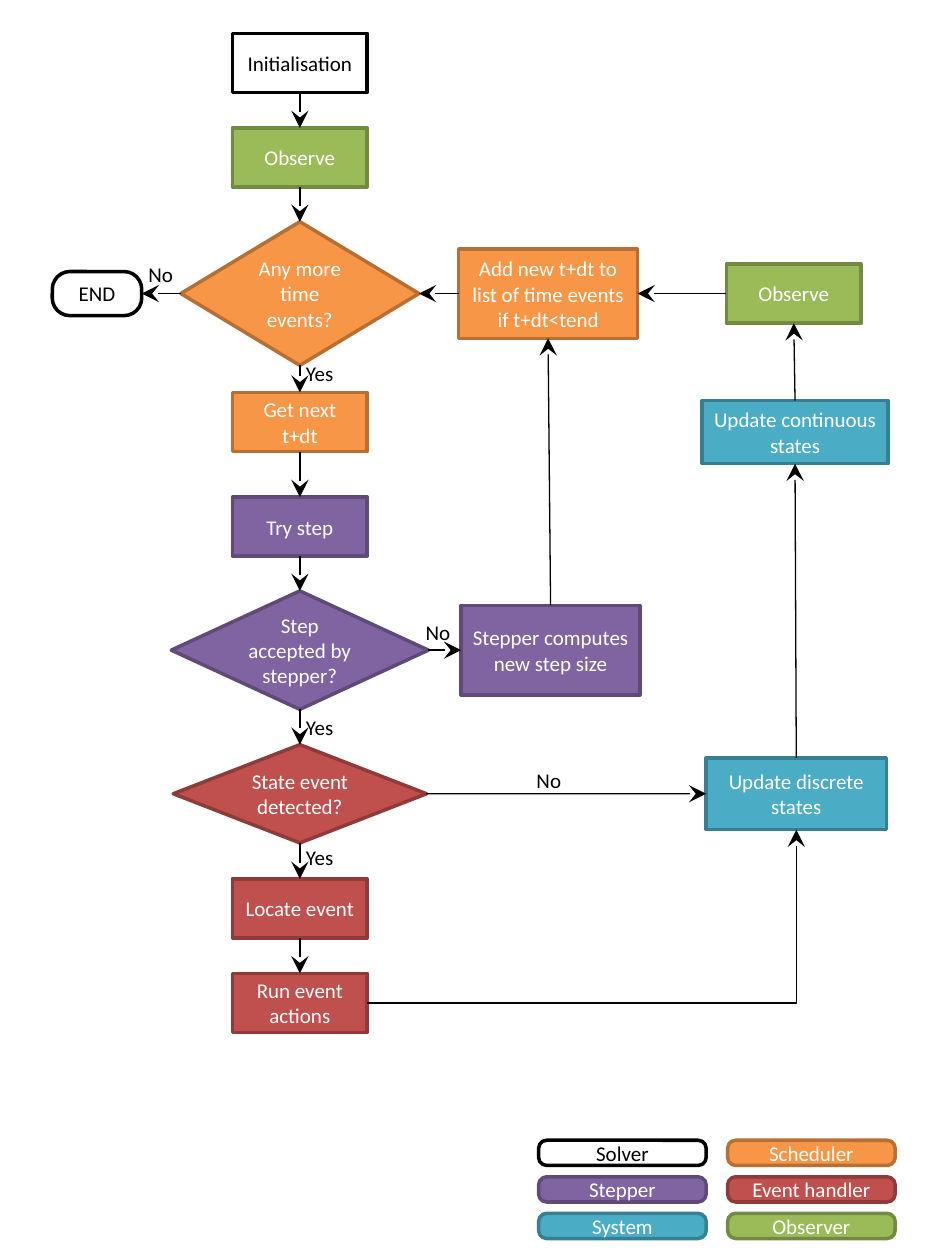
"""Build a flowchart of a simulation solver loop with a colour legend."""
from lxml import etree
from pptx import Presentation
from pptx.dml.color import RGBColor
from pptx.enum.shapes import MSO_CONNECTOR, MSO_SHAPE
from pptx.enum.text import MSO_ANCHOR, MSO_AUTO_SIZE, PP_ALIGN
from pptx.oxml.ns import qn
from pptx.util import Inches, Pt

RECT, DIAMOND, ROUND = MSO_SHAPE.RECTANGLE, MSO_SHAPE.DIAMOND, MSO_SHAPE.ROUNDED_RECTANGLE
STRAIGHT, ELBOW = MSO_CONNECTOR.STRAIGHT, MSO_CONNECTOR.ELBOW
TOP, LEFT, BOTTOM, RIGHT = range(4)
THEME = {
    "font": "Calibri", "size": 12, "ink": "000000", "border": 2, "arrow": 0.75,
    "Solver": ("FFFFFF", "000000", "000000"),
    "Stepper": ("8064A2", "5F4A78", "FFFFFF"),
    "System": ("4BACC6", "377F92", "FFFFFF"),
    "Scheduler": ("F79646", "B76F34", "FFFFFF"),
    "Event handler": ("C0504D", "8E3B39", "FFFFFF"),
    "Observer": ("9BBB59", "738A42", "FFFFFF"),
}

prs = Presentation()
prs.slide_width, prs.slide_height = Inches(7.5), Inches(10)
slide = prs.slides.add_slide(prs.slide_layouts[6])


def write(tf, text, color):
    tf.text = text
    font = tf.paragraphs[0].runs[0].font
    font.name, font.size = THEME["font"], Pt(THEME["size"])
    font.color.rgb = RGBColor.from_string(color)


def add_box(kind, role, text, cx, cy, w, h, radius=None):
    fill, line, ink = THEME[role]
    s = slide.shapes.add_shape(kind, Inches(cx - w / 2), Inches(cy - h / 2), Inches(w), Inches(h))
    if radius:
        s.adjustments[0] = radius
    s.shadow.inherit = False
    s.fill.solid()
    s.fill.fore_color.rgb = RGBColor.from_string(fill)
    s.line.color.rgb = RGBColor.from_string(line)
    s.line.width = Pt(THEME["border"])
    tf = s.text_frame
    tf.word_wrap = True
    tf.vertical_anchor = MSO_ANCHOR.MIDDLE
    tf.margin_left = tf.margin_right = Inches(0.09)
    write(tf, text, ink)
    tf.paragraphs[0].alignment = PP_ALIGN.CENTER
    return s


MAIN, LOOP_ROW = 2.38, 2.33
STEP = (1.07, 0.47)
WIDE = (1.42, 0.71)
nodes = {
    "init": (RECT, "Solver", "Initialisation", MAIN, 0.5, *STEP),
    "observe": (RECT, "Observer", "Observe", MAIN, 1.25, *STEP),
    "more": (DIAMOND, "Scheduler", "Any more time events?", MAIN, LOOP_ROW, 1.89, 1.14),
    "end": (ROUND, "Solver", "END", 0.77, LOOP_ROW, 0.71, 0.35, 0.4),
    "next": (RECT, "Scheduler", "Get next t+dt", MAIN, 3.35, *STEP),
    "try": (RECT, "Stepper", "Try step", MAIN, 4.18, *STEP),
    "accepted": (DIAMOND, "Stepper", "Step accepted by stepper?", MAIN, 5.16, 2.04, 0.94),
    "discrete": (RECT, "System", "Update discrete states", 6.32, 6.3, 1.43, 0.57),
    "continuous": (RECT, "System", "Update continuous states", 6.31, 3.43, 1.48, 0.5),
    "detected": (DIAMOND, "Event handler", "State event detected?", MAIN, 6.3, 2.01, 0.78),
    "locate": (RECT, "Event handler", "Locate event", MAIN, 7.21, *STEP),
    "actions": (RECT, "Event handler", "Run event actions", MAIN, 7.96, *STEP),
    "observe_loop": (RECT, "Observer", "Observe", 6.3, LOOP_ROW, *STEP),
    "resize": (RECT, "Stepper", "Stepper computes new step size", 4.37, 5.16, *WIDE),
    "add_time": (RECT, "Scheduler", "Add new t+dt to list of time events if t+dt<tend",
                 4.35, LOOP_ROW, *WIDE),
}
boxes = {name: add_box(*node) for name, node in nodes.items()}

main_path = ["init", "observe", "more", "next", "try", "accepted", "detected", "locate", "actions"]
arrows = [(a, BOTTOM, b, TOP) for a, b in zip(main_path, main_path[1:])]
arrows += [
    ("more", LEFT, "end", RIGHT),
    ("add_time", LEFT, "more", RIGHT),
    ("observe_loop", LEFT, "add_time", RIGHT),
    ("accepted", RIGHT, "resize", LEFT),
    ("resize", TOP, "add_time", BOTTOM),
    ("detected", RIGHT, "discrete", LEFT),
    ("discrete", TOP, "continuous", BOTTOM),
    ("continuous", TOP, "observe_loop", BOTTOM),
    ("actions", RIGHT, "discrete", BOTTOM),
]
for start, start_site, finish, finish_site in arrows:
    bent = start == "actions"
    c = slide.shapes.add_connector(ELBOW if bent else STRAIGHT, 0, 0, 0, 0)
    c.begin_connect(boxes[start], start_site)
    c.end_connect(boxes[finish], finish_site)
    c.line.color.rgb = RGBColor.from_string(THEME["ink"])
    c.line.width = Pt(THEME["arrow"])
    spPr = c._element.spPr
    if bent:
        spPr.find(qn("a:prstGeom")).set("prst", "bentConnector2")
    etree.SubElement(spPr.find(qn("a:ln")), qn("a:tailEnd"), type="stealth", w="lg", len="lg")
    etree.SubElement(spPr, qn("a:effectLst"))

legend = [["Solver", "Stepper", "System"], ["Scheduler", "Event handler", "Observer"]]
for col, roles in enumerate(legend):
    for row, role in enumerate(roles):
        add_box(ROUND, role, role, 4.94 + 1.5 * col, 9.15 + 0.29 * row, 1.33, 0.2, 0.32)

labels = [
    ("No", 1.08, 2.03), ("Yes", 2.33, 2.81), ("No", 3.28, 4.87),
    ("Yes", 2.33, 5.62), ("Yes", 2.33, 6.65), ("No", 4.16, 6.04),
]
for text, x, y in labels:
    tb = slide.shapes.add_textbox(Inches(x), Inches(y), Inches(0.42 if text == "Yes" else 0.4), Inches(0.3))
    tf = tb.text_frame
    tf.word_wrap = False
    tf.auto_size = MSO_AUTO_SIZE.SHAPE_TO_FIT_TEXT
    write(tf, text, THEME["ink"])

prs.save("out.pptx")
